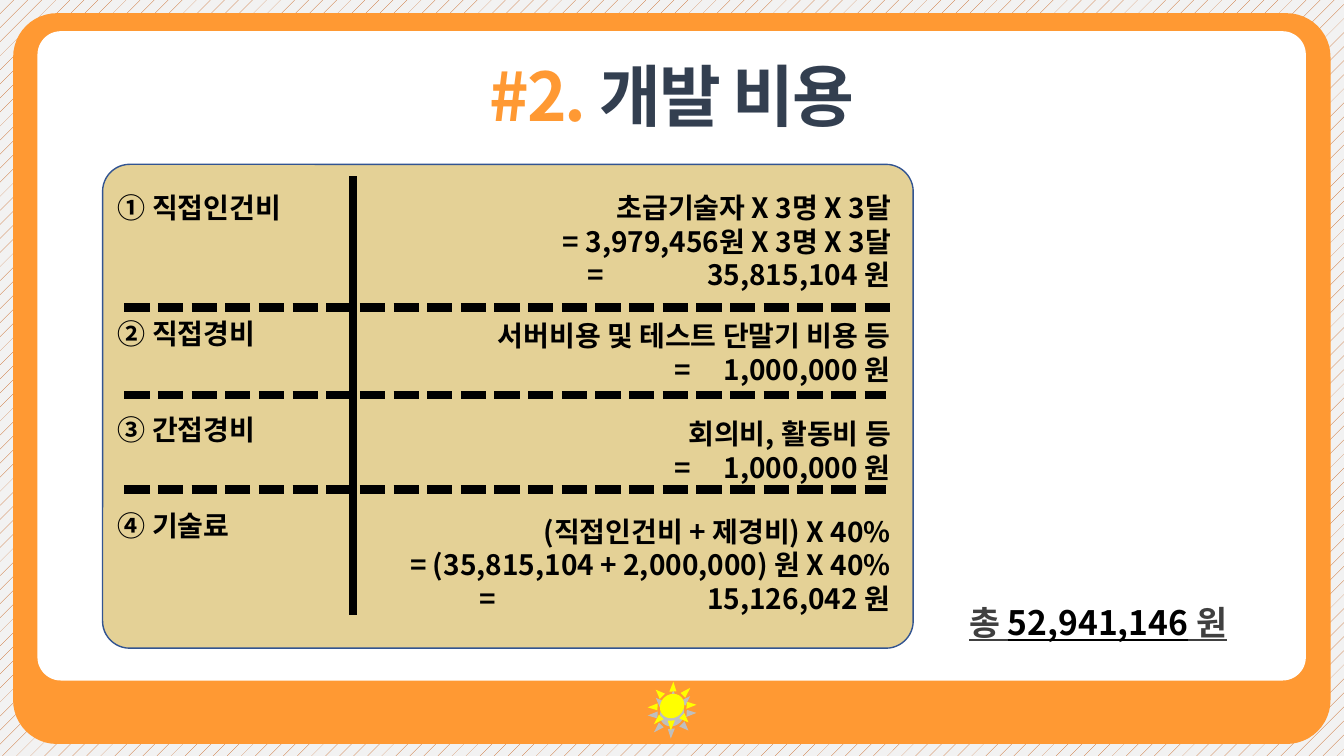
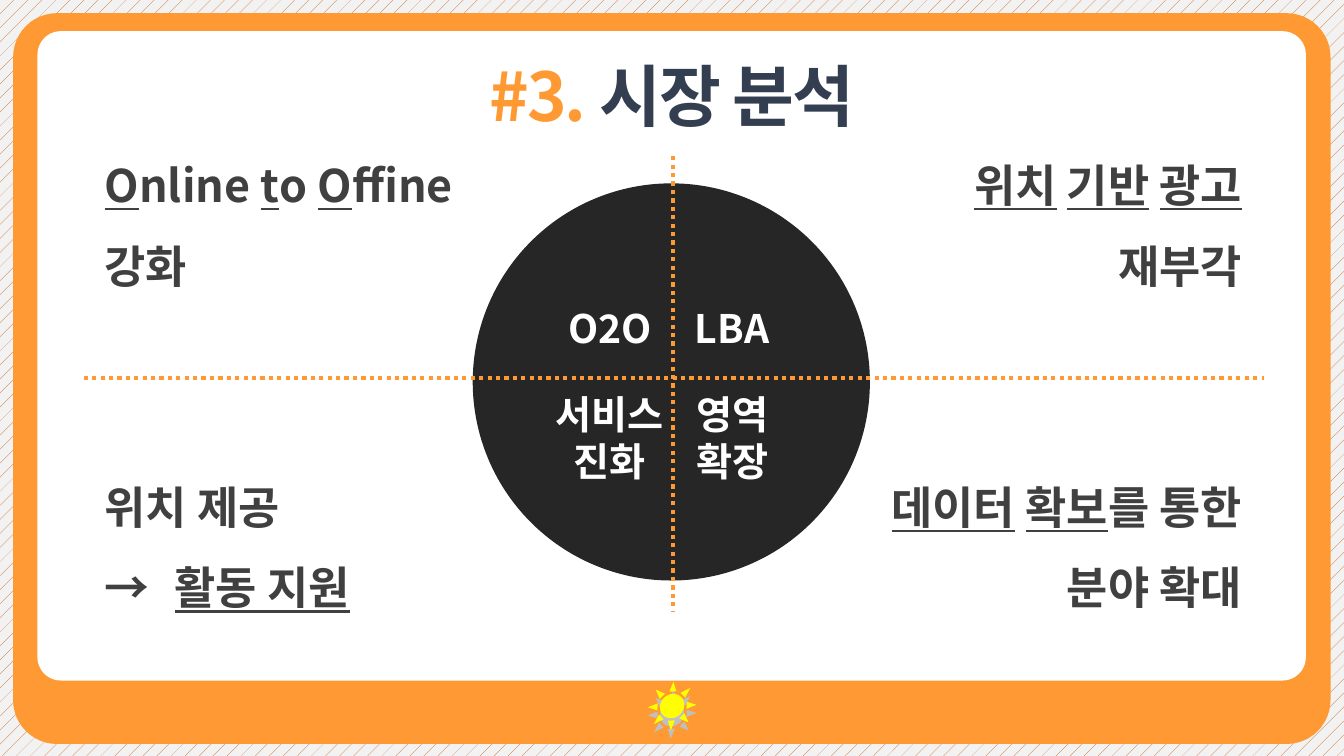
from lxml.etree import SubElement
from pptx import Presentation
from pptx.dml.color import RGBColor
from pptx.enum.dml import MSO_LINE, MSO_PATTERN
from pptx.enum.shapes import MSO_CONNECTOR, MSO_SHAPE
from pptx.enum.text import MSO_ANCHOR, MSO_AUTO_SIZE, PP_ALIGN
from pptx.oxml.ns import qn
from pptx.util import Pt

# Shared style
FONT = "Noto Sans CJK KR"
ORANGE, NAVY, GREY = "FF9933", "333F50", "404040"
BLACK, WHITE = "000000", "FFFFFF"
LEFT, CENTER, RIGHT = PP_ALIGN.LEFT, PP_ALIGN.CENTER, PP_ALIGN.RIGHT
SUN_BOXES = [("BFBFBF", 491.8), ("FFFF00", 486)]  # shadow, then sun

# Cost slide: label, label top, detail top, start of "=", detail lines
COSTS = [
    ("① 직접인건비", 136, 136, 157,
     ["초급기술자 X 3명 X 3달", "= 3,979,456원 X 3명 X 3달", "\t=\t35,815,104 원"]),
    ("② 직접경비", 226, 227.5, 219,
     ["서버비용 및 테스트 단말기 비용 등", "\t=\t1,000,000 원"]),
    ("③ 간접경비", 294.5, 297.4, 219,
     ["회의비, 활동비 등", "\t=\t1,000,000 원"]),
    ("④ 기술료", 363, 367.2, 80,
     ["(직접인건비 + 제경비) X 40%", "= (35,815,104 + 2,000,000) 원 X 40%",
      "\t=\t15,126,042 원"]),
]
DIVIDERS = [(219.6, 636), (282.2, 633), (349.6, 633)]  # y, right end
DETAIL_LEFT, DETAIL_WIDTH = 262.8, 373.6
TOTAL = [("총 ", {}), ("52,941,146", {"color": BLACK}), (" 원", {})]

# Market slide: (column, row) -> words in the circle, paragraphs outside
U = {"underline": True}
QUADRANTS = {
    (0, 0): ("O2O", [[("O", U), ("nline ", {}), ("t", U), ("o ", {}),
                      ("O", U), ("ffine 강화", {})]]),
    (1, 0): ("LBA", [[("위치", U), (" ", {}), ("기반", U), (" ", {}),
                      ("광고 ", U), ("재부각", {})]]),
    (0, 1): ("서비스\n진화", [[("위치 제공", {})], [("→\t", {}), ("활동 지원", U)]]),
    (1, 1): ("영역\n확장", [[("데이터", U), (" ", {}), ("확보", U),
                          ("를 통한 분야 확대", {})]]),
}
WORD_COLUMNS = [(389.5, 92), (476, 94)]                 # left, width
WORD_ROWS = [(188.6, 75, 1.5), (278.6, 67.7, None)]     # top, height, spacing
NOTE_LEFTS, NOTE_TOPS = (67.7, 602), (90, 319.7)
NOTE_ALIGNS = (LEFT, RIGHT)
AXES = [(481, 111.6, 481, 436.3), (59.8, 270, 902.9, 270)]


def rgb(value):
    return RGBColor.from_string(value)


def add_form(slide, kind, box, color, radius=None, border=None):
    form = slide.shapes.add_shape(kind, *map(Pt, box))
    form.shadow.inherit = False
    form.fill.solid()
    form.fill.fore_color.rgb = rgb(color)
    if radius is not None:
        form.adjustments[0] = radius
    if border:
        form.line.color.rgb = rgb(border)
        form.line.width = Pt(1)
    else:
        form.line.fill.background()
    return form


def add_rule(slide, ends, color, width, dash=None):
    rule = slide.shapes.add_connector(MSO_CONNECTOR.STRAIGHT, *map(Pt, ends))
    rule.line.color.rgb = rgb(color)
    rule.line.width = Pt(width)
    if dash:
        rule.line.dash_style = dash
    SubElement(rule._element.spPr, qn("a:effectLst"))


def set_tabs(paragraph, stops):
    tabs = SubElement(paragraph._p.get_or_add_pPr(), qn("a:tabLst"))
    for position, side in stops:
        SubElement(tabs, qn("a:tab"), pos=str(int(Pt(position))), algn=side)


def add_run(paragraph, words, size, color, underline=False, tracking=None):
    run = paragraph.add_run()
    run.text = words
    style = {"name": FONT, "size": Pt(size), "bold": True, "underline": underline}
    for key, value in style.items():
        setattr(run.font, key, value)
    run.font.color.rgb = rgb(color)
    properties = run._r.get_or_add_rPr()
    SubElement(properties, qn("a:ea"), typeface=FONT)
    if tracking:
        properties.set("spc", str(tracking))


def add_text(slide, box, paragraphs, size, color, align=LEFT, spacing=None,
             inset=True, anchor=MSO_ANCHOR.TOP, tabs=(), **run_style):
    """Each paragraph is a list of (words, run overrides)."""
    frame = slide.shapes.add_textbox(*map(Pt, box)).text_frame
    margin_x, margin_y = (Pt(7.2), Pt(3.6)) if inset else (0, 0)
    layout = {"word_wrap": True, "auto_size": MSO_AUTO_SIZE.NONE,
              "vertical_anchor": anchor,
              "margin_left": margin_x, "margin_right": margin_x,
              "margin_top": margin_y, "margin_bottom": margin_y}
    for key, value in layout.items():
        setattr(frame, key, value)
    for index, runs in enumerate(paragraphs):
        paragraph = frame.add_paragraph() if index else frame.paragraphs[0]
        tabbed = any("\t" in words for words, _ in runs)
        paragraph.alignment = LEFT if tabbed else align
        if spacing:
            paragraph.line_spacing = spacing
        if tabbed:
            set_tabs(paragraph, tabs)
        for words, overrides in runs:
            add_run(paragraph, words, **{"size": size, "color": color,
                                         **run_style, **overrides})


def plain(lines):
    return [[(line, {})] for line in lines]


def add_base(deck, number, title):
    slide = deck.slides.add_slide(deck.slide_layouts[6])
    backdrop = slide.background.fill
    backdrop.patterned()
    backdrop.pattern = MSO_PATTERN.PERCENT_5
    backdrop.fore_color.rgb = rgb("C55A11")
    backdrop.back_color.rgb = rgb("F2F2F2")
    # Orange frame, white sheet, sun emblem
    rounded = MSO_SHAPE.ROUNDED_RECTANGLE
    add_form(slide, rounded, (9.4, 9.4, 941, 522), ORANGE, 0.06)
    add_form(slide, rounded, (26.8, 22.3, 906, 463.8), WHITE, 0.036)
    for color, top in SUN_BOXES:
        add_form(slide, MSO_SHAPE.SUN, (463.6, top, 33, 36.7), color).rotation = 45
    # Title
    add_text(slide, (290.2, 35.3, 379.4, 65.5),
             [[(number + " ", {"color": ORANGE}), (title, {})]],
             48, NAVY, CENTER, tracking=-150)
    return slide


def build_costs(deck):
    slide = add_base(deck, "#2.", "개발 비용")
    panel = add_form(slide, MSO_SHAPE.ROUNDED_RECTANGLE,
                     (73.3, 117.4, 579, 345.6), "BF9000", 0.056, "325491")
    tint = panel._element.spPr.find(qn("a:solidFill"))[0]
    SubElement(tint, qn("a:alpha"), val="41000")
    # Grid rules
    add_rule(slide, (252, 126, 252, 439.2), BLACK, 6)
    for y, right in DIVIDERS:
        add_rule(slide, (88.8, y, right, y), BLACK, 6, MSO_LINE.SQUARE_DOT)
    # Cost items
    for label, label_top, detail_top, equals_at, lines in COSTS:
        add_text(slide, (84.2, label_top, 161, 24), plain([label]), 20, BLACK,
                 inset=False)
        add_text(slide, (DETAIL_LEFT, detail_top, DETAIL_WIDTH, 24 * len(lines)),
                 plain(lines), 20, BLACK, RIGHT, inset=False,
                 tabs=[(equals_at, "l"), (DETAIL_WIDTH - 0.6, "r")])
    # Total
    add_text(slide, (685.4, 411.8, 214.6, 51), [TOTAL], 24, GREY, spacing=1.5,
             underline=True)


def build_market(deck):
    slide = add_base(deck, "#3.", "시장 분석")
    add_form(slide, MSO_SHAPE.OVAL, (337.7, 131, 283.7, 283.7), "262626")
    # Quadrants: words inside the circle, note outside
    for (column, row), (words, note) in QUADRANTS.items():
        left, width = WORD_COLUMNS[column]
        top, height, spacing = WORD_ROWS[row]
        add_text(slide, (left, top, width, height), plain(words.split("\n")),
                 28, WHITE, CENTER, spacing, inset=False,
                 anchor=MSO_ANCHOR.MIDDLE)
        add_text(slide, (NOTE_LEFTS[column], NOTE_TOPS[row], 292.3, 116), note,
                 32, GREY, NOTE_ALIGNS[column], 1.5, tabs=[(50, "l")])
    # Dotted axes
    for ends in AXES:
        add_rule(slide, ends, ORANGE, 3, MSO_LINE.ROUND_DOT)


def main():
    deck = Presentation()
    deck.slide_width, deck.slide_height = Pt(960), Pt(540)
    build_costs(deck)
    build_market(deck)
    deck.save("out.pptx")


if __name__ == "__main__":
    main()
